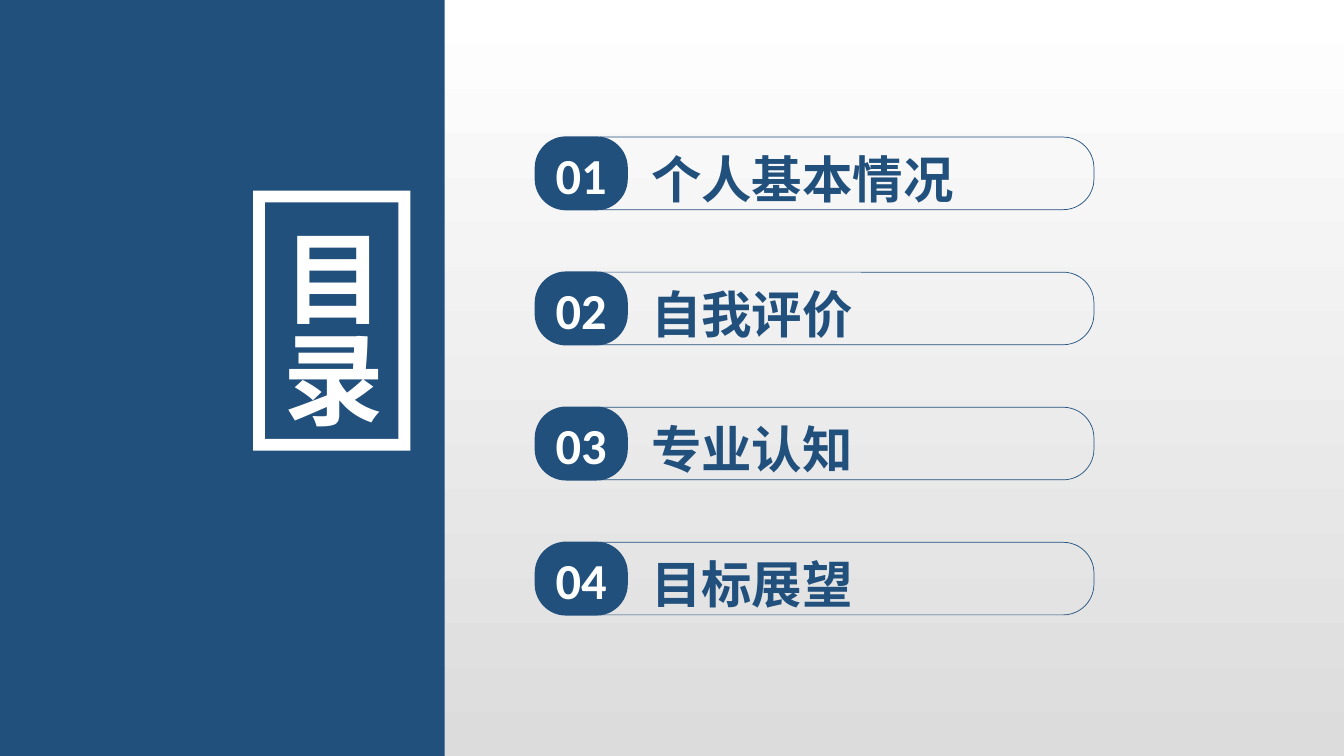
from dataclasses import dataclass

from pptx import Presentation
from pptx.dml.color import RGBColor
from pptx.enum.shapes import MSO_SHAPE
from pptx.enum.text import MSO_AUTO_SIZE, PP_ALIGN
from pptx.util import Inches, Pt


@dataclass(frozen=True)
class Theme:
    navy: RGBColor = RGBColor(0x21, 0x50, 0x7D)
    white: RGBColor = RGBColor(0xFF, 0xFF, 0xFF)
    gray: RGBColor = RGBColor(0xDC, 0xDC, 0xDC)
    font: str = "Calibri"
    title_size: int = 72
    item_size: int = 36


THEME = Theme()
TOPICS = ["个人基本情况", "自我评价", "专业认知", "目标展望"]
FIRST_TOP = 1.36
ROW_STEP = 1.34


def paint_background(page):
    fill = page.background.fill
    fill.gradient()
    fill.gradient_angle = 270
    for stop, color, position in zip(fill.gradient_stops, (THEME.white, THEME.gray), (0, 1)):
        stop.color.rgb = color
        stop.position = position


def add_block(page, kind, left, top, width, height, fill=None, line_width=None, adjust=None):
    block = page.shapes.add_shape(kind, Inches(left), Inches(top), Inches(width), Inches(height))
    block.shadow.inherit = False
    if adjust is not None:
        block.adjustments[0] = adjust
    if fill is None:
        block.fill.background()
    else:
        block.fill.solid()
        block.fill.fore_color.rgb = fill
    if line_width is None:
        block.line.fill.background()
    else:
        block.line.color.rgb = THEME.navy
        block.line.width = Pt(line_width)
    return block


def add_text(page, text, left, top, width, height, size=THEME.item_size,
             color=THEME.white, align=PP_ALIGN.JUSTIFY, vertical=False):
    box = page.shapes.add_textbox(Inches(left), Inches(top), Inches(width), Inches(height))
    frame = box.text_frame
    frame.word_wrap = True
    frame.auto_size = MSO_AUTO_SIZE.SHAPE_TO_FIT_TEXT
    if vertical:
        frame._txBody.bodyPr.set("vert", "eaVert")
    para = frame.paragraphs[0]
    para.alignment = align
    span = para.add_run()
    span.text = text
    span.font.name = THEME.font
    span.font.size = Pt(size)
    span.font.bold = True
    span.font.color.rgb = color
    return box


def add_title_panel(page):
    add_block(page, MSO_SHAPE.RECTANGLE, 0, 0, 4.41, 7.5, fill=THEME.navy)
    add_block(page, MSO_SHAPE.FRAME, 2.51, 1.89, 1.56, 2.58, fill=THEME.white, adjust=0.075)
    add_text(page, "目录", 2.52, 2.16, 1.41, 2.33, size=THEME.title_size, vertical=True)


def add_topic(page, number, topic, top):
    add_block(page, MSO_SHAPE.ROUNDED_RECTANGLE, 5.66, top, 5.19, 0.72,
              line_width=0.5, adjust=0.423)
    add_block(page, MSO_SHAPE.ROUNDED_RECTANGLE, 5.31, top, 0.91, 0.72,
              fill=THEME.navy, line_width=1, adjust=0.423)
    add_text(page, f"{number:02d}", 5.37, top + 0.02, 0.79, 0.71, align=PP_ALIGN.CENTER)
    add_text(page, topic, 6.36, top + 0.06, 4.16, 0.71, color=THEME.navy)


def main():
    deck = Presentation()
    deck.slide_width = Inches(13.33)
    deck.slide_height = Inches(7.5)
    page = deck.slides.add_slide(deck.slide_layouts[6])

    # Background and title panel
    paint_background(page)
    add_title_panel(page)

    # Numbered topics
    for index, topic in enumerate(TOPICS):
        add_topic(page, index + 1, topic, FIRST_TOP + index * ROW_STEP)

    deck.save("out.pptx")


if __name__ == "__main__":
    main()
